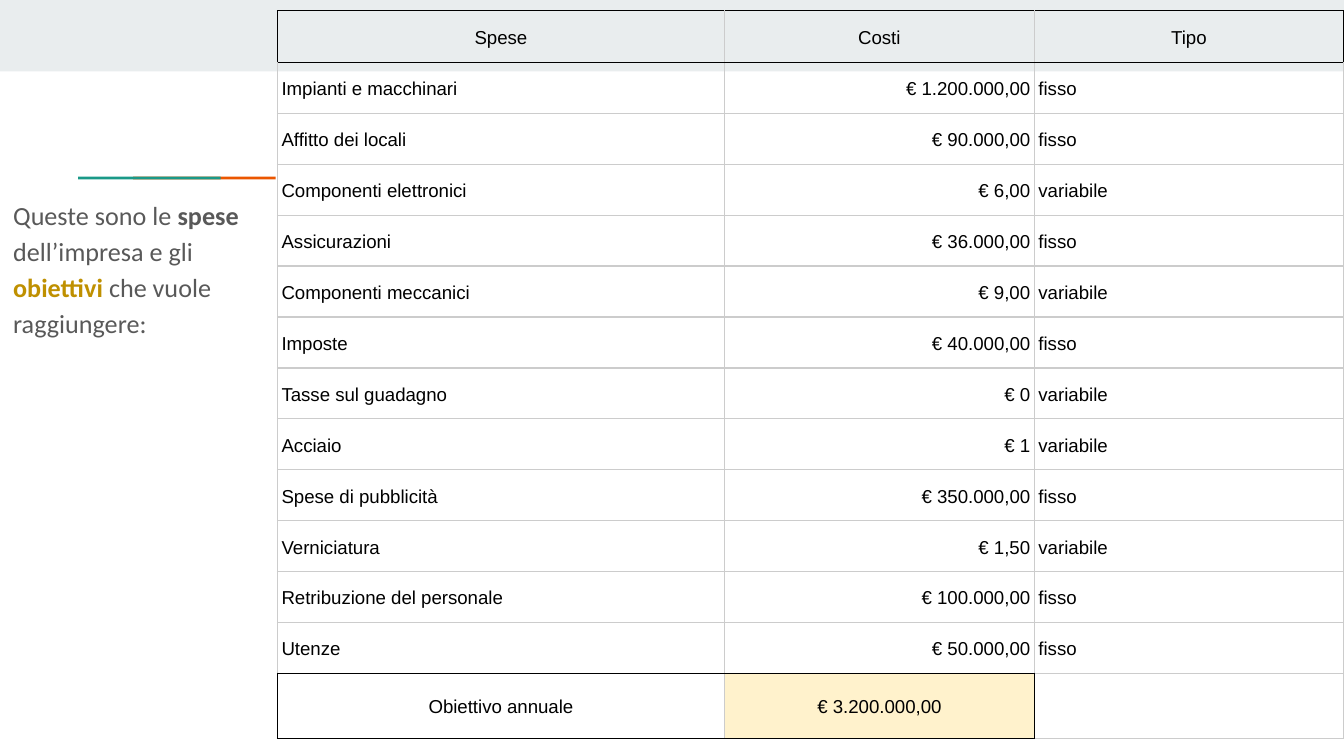
from pptx import Presentation
from pptx.util import Pt
from pptx.dml.color import RGBColor as RGB
from pptx.enum.shapes import MSO_SHAPE as Shape
from pptx.enum.text import MSO_ANCHOR as Anchor, PP_ALIGN as Align
from pptx.oxml.ns import qn
from lxml.etree import SubElement as Sub

BLACK = RGB(0x00, 0x00, 0x00)
LINE = RGB(0xCC, 0xCC, 0xCC)
BAND = RGB(0xE9, 0xED, 0xEE)
ORANGE = RGB(0xEB, 0x56, 0x00)
TEAL = RGB(0x1A, 0x99, 0x88)
GRAY = RGB(0x59, 0x59, 0x59)
GOLD = RGB(0xBF, 0x90, 0x00)
CREAM = RGB(0xFF, 0xF2, 0xCC)

# Content
HEAD = ("Spese", "Costi", "Tipo")
COSTS = [
    ("Impianti e macchinari", "€ 1.200.000,00", "fisso"),
    ("Affitto dei locali", "€ 90.000,00", "fisso"),
    ("Componenti elettronici", "€ 6,00", "variabile"),
    ("Assicurazioni", "€ 36.000,00", "fisso"),
    ("Componenti meccanici", "€ 9,00", "variabile"),
    ("Imposte", "€ 40.000,00", "fisso"),
    ("Tasse sul guadagno", "€ 0", "variabile"),
    ("Acciaio", "€ 1", "variabile"),
    ("Spese di pubblicità", "€ 350.000,00", "fisso"),
    ("Verniciatura", "€ 1,50", "variabile"),
    ("Retribuzione del personale", "€ 100.000,00", "fisso"),
    ("Utenze", "€ 50.000,00", "fisso"),
]
GOAL = ("Obiettivo annuale", "€ 3.200.000,00", "")
INTRO = [  # text, colour, bold
    ("Queste sono le ", GRAY, False),
    ("spese", GRAY, True),
    (" dell’impresa e gli ", GRAY, False),
    ("obiettivi ", GOLD, True),
    ("che vuole raggiungere:", GRAY, False),
]

# Band and accent bars: left, top, width, height, colour
BARS = [
    (0, 0, 720, 38.3, BAND),
    (71.3, 94.6, 76.4, 1.6, ORANGE),
    (41.8, 94.6, 76.4, 1.6, TEAL),
]

# Table layout
ROWS = [HEAD, *COSTS, GOAL]
LAST = len(ROWS) - 1
WIDTHS = (239.5, 166, 165.6)
HEIGHTS = [27.8] + [27.2] * len(COSTS) + [34.8]
ALIGNS = (Align.LEFT, Align.RIGHT, Align.LEFT)
# Black sides of each cell, by row; all other sides are light
DARK = {
    0: ("LTB", "TB", "RTB"),
    1: ("T", "T", "T"),
    LAST - 1: ("B", "B", ""),
    LAST: ("LTB", "RTB", "L"),
}


def add_bar(slide, left, top, width, height, color):
    bar = slide.shapes.add_shape(Shape.RECTANGLE, Pt(left), Pt(top), Pt(width), Pt(height))
    bar.shadow.inherit = False
    bar.fill.solid()
    bar.fill.fore_color.rgb = color
    bar.line.fill.background()


def add_intro(slide):
    box = slide.shapes.add_textbox(Pt(0), Pt(97.2), Pt(136), Pt(90))
    frame = box.text_frame
    frame.word_wrap = True
    frame.margin_left = frame.margin_right = Pt(7.2)
    frame.margin_top = frame.margin_bottom = Pt(7.2)
    para = frame.paragraphs[0]
    para.line_spacing = 1.15
    para.space_after = Pt(12)
    for text, color, bold in INTRO:
        run = para.add_run()
        run.text = text
        font = run.font
        font.name, font.size, font.bold = "Calibri", Pt(14), bold
        font.color.rgb = color


def set_edges(cell, dark):
    props = cell._tc.get_or_add_tcPr()
    for side in "LRTB":
        line = Sub(props, qn("a:ln" + side), w=str(Pt(0.75)))
        fill = Sub(line, qn("a:solidFill"))
        Sub(fill, qn("a:srgbClr"), val=str(BLACK if side in dark else LINE))


def set_text(cell, text, align, anchor):
    cell.text_frame.text = text
    cell.vertical_anchor = anchor
    cell.margin_left = cell.margin_right = Pt(2.25)
    cell.margin_top = cell.margin_bottom = Pt(7.2)
    para = cell.text_frame.paragraphs[0]
    para.alignment = align
    para.line_spacing = 1.15
    font = para.runs[0].font
    font.name, font.size, font.bold = "Arial", Pt(10), False
    font.color.rgb = BLACK


def add_costs(slide):
    frame = slide.shapes.add_table(len(ROWS), len(WIDTHS), Pt(148.6), Pt(5.7),
                                   Pt(sum(WIDTHS)), Pt(sum(HEIGHTS)))
    table = frame.table
    table.first_row = table.horz_banding = False
    for col, width in zip(table.columns, WIDTHS):
        col.width = Pt(width)
    for r, (texts, height) in enumerate(zip(ROWS, HEIGHTS)):
        table.rows[r].height = Pt(height)
        edge = r in (0, LAST)
        for c, text in enumerate(texts):
            cell = table.cell(r, c)
            set_edges(cell, DARK.get(r, ("", "", ""))[c])
            cell.fill.background()
            if text:
                set_text(cell, text, Align.CENTER if edge else ALIGNS[c],
                         Anchor.MIDDLE if edge else Anchor.BOTTOM)
    goal = table.cell(LAST, 1)
    goal.fill.solid()
    goal.fill.fore_color.rgb = CREAM


def main():
    deck = Presentation()
    deck.slide_width, deck.slide_height = Pt(720), Pt(405)
    slide = deck.slides.add_slide(deck.slide_layouts[6])
    for bar in BARS:
        add_bar(slide, *bar)
    add_costs(slide)
    add_intro(slide)
    deck.save("out.pptx")


if __name__ == "__main__":
    main()
